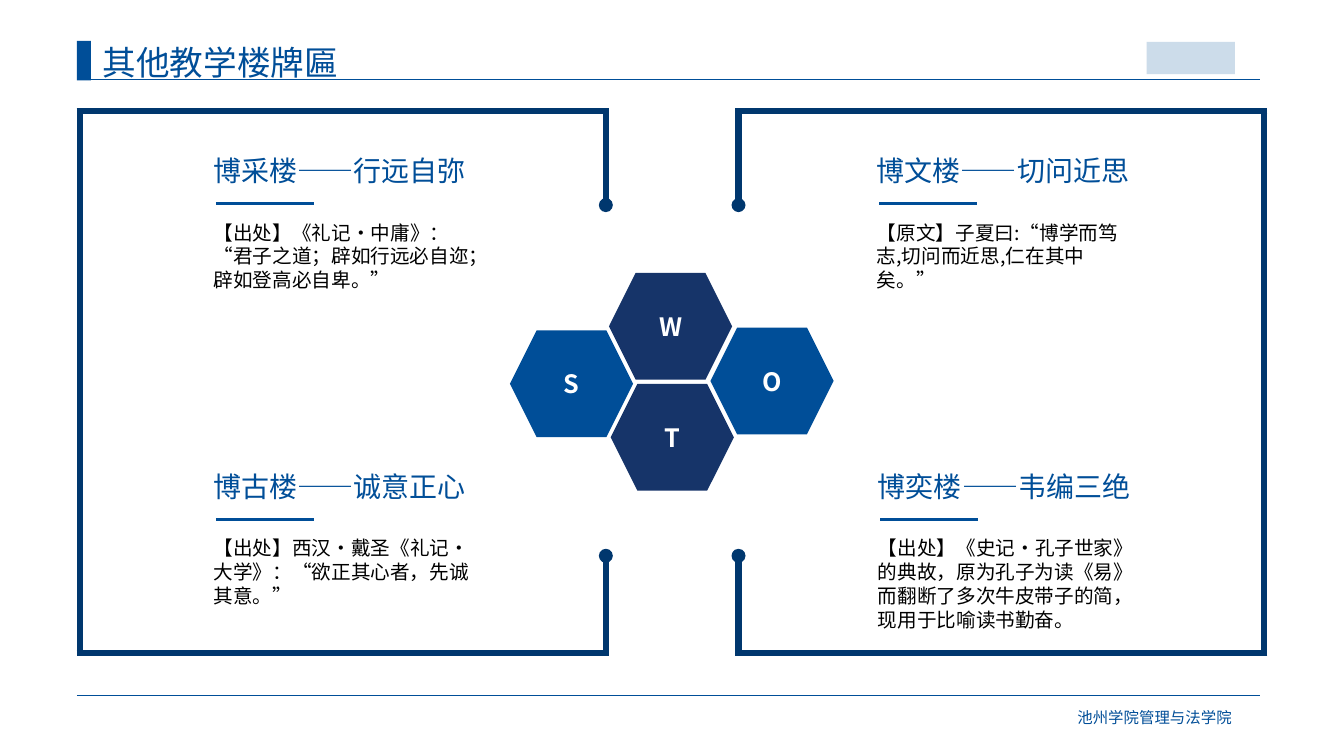
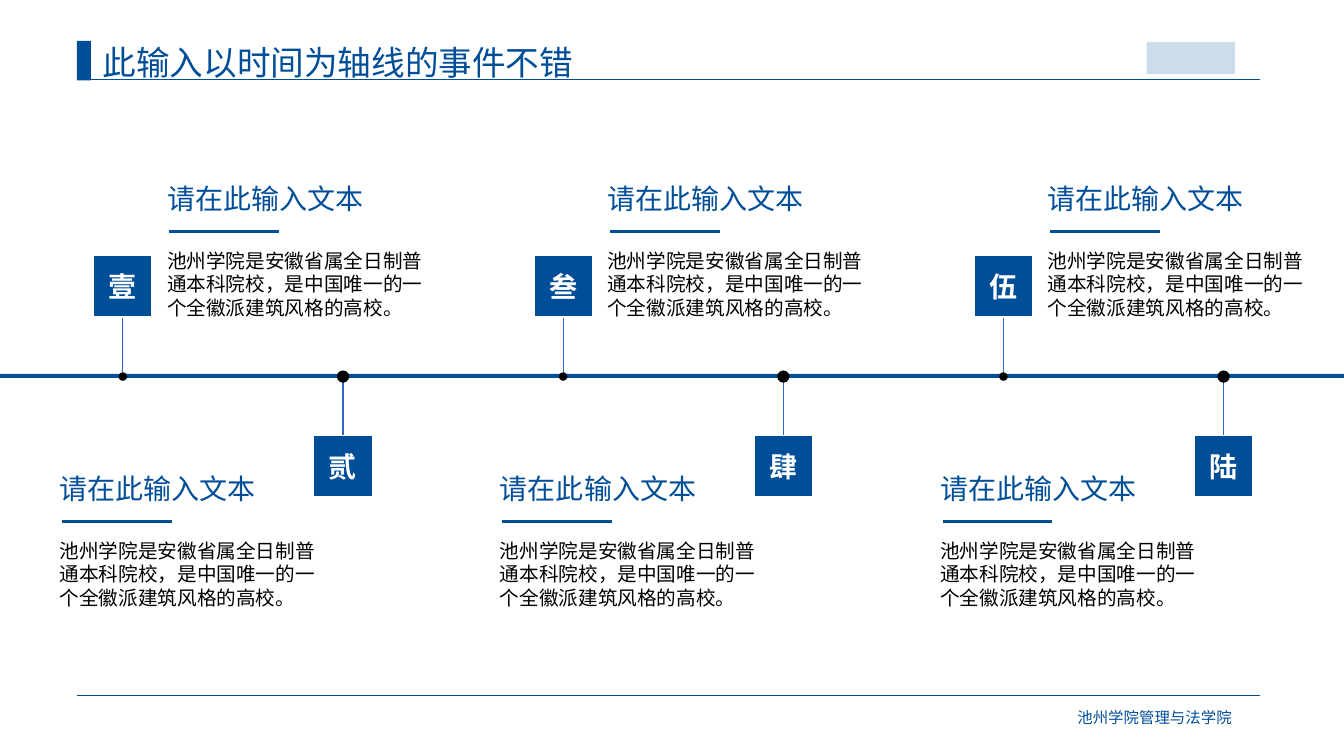
from dataclasses import dataclass

from lxml.etree import SubElement
from pptx import Presentation
from pptx.dml.color import RGBColor
from pptx.enum.lang import MSO_LANGUAGE_ID
from pptx.enum.shapes import MSO_CONNECTOR, MSO_SHAPE
from pptx.enum.text import MSO_ANCHOR, PP_ALIGN
from pptx.oxml.ns import qn
from pptx.shapes.autoshape import Shape
from pptx.shapes.connector import Connector
from pptx.slide import Slide
from pptx.util import Pt

BLUE = RGBColor(0x00, 0x4E, 0x98)
PALE_BLUE = RGBColor(0xCC, 0xDC, 0xEA)
NAVY = RGBColor(0x16, 0x34, 0x69)
FRAME_BLUE = RGBColor(0x00, 0x37, 0x6E)
STEM_BLUE = RGBColor(0x33, 0x66, 0xCC)
BLACK = RGBColor(0, 0, 0)
WHITE = RGBColor(0xFF, 0xFF, 0xFF)

FONT = "Noto Sans CJK SC"
LINE_PITCH = 1.21  # line height per point of type

SLIDE_WIDTH, SLIDE_HEIGHT = 960, 540


@dataclass(frozen=True)
class Passage:
    heading: str
    body: str
    left: float
    top: float
    body_width: float = 197.5
    rule_length: float = 70


@dataclass(frozen=True)
class Hexagon:
    letter: str
    left: float
    top: float
    color: RGBColor


@dataclass(frozen=True)
class Frame:
    outer_x: float
    inner_x: float


@dataclass(frozen=True)
class TimelineSide:
    """Places of what hangs above or below the timeline."""

    badge_top: float
    badge_site: int
    bar_edge: float
    dot_size: float
    text_offset: float
    text_top: float


PASSAGES = [
    Passage("博采楼——行远自弥",
            "【出处】《礼记·中庸》：“君子之道；辟如行远必自迩；辟如登高必自卑。”",
            145.5, 106),
    Passage("博文楼——切问近思",
            "【原文】子夏曰:“博学而笃志,切问而近思,仁在其中矣。”",
            619.25, 106),
    Passage("博古楼——诚意正心",
            "【出处】西汉·戴圣《礼记·大学》：“欲正其心者，先诚其意。”",
            145.5, 331.5, 200),
    Passage("博奕楼——韦编三绝",
            "【出处】《史记·孔子世家》的典故，原为孔子为读《易》而翻断了多次牛皮带子的简，现用于比喻读书勤奋。",
            620, 331.5, 200),
]

HEXAGONS = [
    Hexagon("T", 436.25, 274.25, NAVY),
    Hexagon("W", 435, 195, NAVY),
    Hexagon("S", 364.25, 236, BLUE),
    Hexagon("O", 507.5, 234, BLUE),
]

FRAMES = [Frame(57, 432.75), Frame(903, 527.5)]
FRAME_TOP, FRAME_BOTTOM = 79.25, 466.5
FRAME_DOT_YS = {FRAME_TOP: 146.5, FRAME_BOTTOM: 397}
FRAME_STROKE = 4.5
FRAME_DOT = 10

NUMERALS = "壹贰叁肆伍陆"
STEP_HEADING = "请在此输入文本"
STEP_BODY = "池州学院是安徽省属全日制普通本科院校，是中国唯一的一个全徽派建筑风格的高校。"
FIRST_STEM, STEM_GAP = 87.75, 157.25
BADGE_WIDTH, BADGE_HEIGHT = 43, 45
BAR_TOP, BAR_HEIGHT = 267, 3
ABOVE = TimelineSide(182, 2, BAR_TOP, 6, 24.5, 126)
BELOW = TimelineSide(310.5, 0, BAR_TOP + BAR_HEIGHT, 8.75, -209.5, 333)


def write_text(shape: Shape, text: str, *, size: float, color: RGBColor,
               bold: bool = False, align: PP_ALIGN = PP_ALIGN.LEFT,
               anchor: MSO_ANCHOR = MSO_ANCHOR.TOP) -> None:
    frame = shape.text_frame
    frame.word_wrap = True
    frame.vertical_anchor = anchor
    paragraph = frame.paragraphs[0]
    paragraph.alignment = align
    paragraph.line_spacing = Pt(LINE_PITCH * size)
    run = paragraph.add_run()
    run.text = text
    run.font.size = Pt(size)
    run.font.bold = bold
    run.font.color.rgb = color
    run.font.name = FONT
    run.font.language_id = MSO_LANGUAGE_ID.SIMPLIFIED_CHINESE
    SubElement(run.font._element, qn("a:ea"), typeface=FONT)


def add_text(slide: Slide, text: str, left: float, top: float, width: float,
             height: float, *, size: float, color: RGBColor = BLUE,
             align: PP_ALIGN = PP_ALIGN.LEFT) -> None:
    box = slide.shapes.add_textbox(Pt(left), Pt(top), Pt(width), Pt(height))
    write_text(box, text, size=size, color=color, align=align)


def add_solid(slide: Slide, preset: MSO_SHAPE, left: float, top: float,
              width: float, height: float, color: RGBColor) -> Shape:
    """Add a filled shape without outline or shadow."""
    shape = slide.shapes.add_shape(preset, Pt(left), Pt(top), Pt(width),
                                   Pt(height))
    shape.shadow.inherit = False
    shape.fill.solid()
    shape.fill.fore_color.rgb = color
    shape.line.fill.background()
    return shape


def add_dot(slide: Slide, center_x: float, center_y: float, size: float,
            color: RGBColor) -> None:
    add_solid(slide, MSO_SHAPE.OVAL, center_x - size / 2, center_y - size / 2,
              size, size, color)


def add_line(slide: Slide, x1: float, y1: float, x2: float, y2: float, *,
             width: float, color: RGBColor = BLUE) -> Connector:
    line = slide.shapes.add_connector(MSO_CONNECTOR.STRAIGHT, Pt(x1), Pt(y1),
                                      Pt(x2), Pt(y2))
    line.line.color.rgb = color
    line.line.width = Pt(width)
    SubElement(line._element.spPr, qn("a:effectLst"))
    return line


def add_titled_slide(deck: Presentation, title: str) -> Slide:
    """Add a blank slide with the shared header and footer."""
    slide = deck.slides.add_slide(deck.slide_layouts[6])
    add_solid(slide, MSO_SHAPE.RECTANGLE, 819, 30, 63, 23, PALE_BLUE)
    add_solid(slide, MSO_SHAPE.RECTANGLE, 55, 29.25, 10, 28.25, BLUE)
    add_line(slide, 58, 57, 900, 57, width=0.5)
    add_text(slide, "池州学院管理与法学院", 762.5, 502, 145, 21, size=11,
             align=PP_ALIGN.JUSTIFY)
    add_line(slide, 55, 496.75, 900, 496.75, width=0.5)
    add_text(slide, title, 66.25, 26, 360, 36, size=24)
    return slide


def add_passage(slide: Slide, passage: Passage) -> None:
    left, top = passage.left, passage.top
    add_text(slide, passage.heading, left, top, 197.5, 31.5, size=20)
    add_text(slide, passage.body, left, top + 48, passage.body_width, 58.5,
             size=14, color=BLACK)
    rule_left, rule_y = left + 8.75, top + 39.5
    add_line(slide, rule_left, rule_y, rule_left + passage.rule_length, rule_y,
             width=2.25)


def add_frame(slide: Slide, frame: Frame) -> None:
    """Draw a bracket, open towards the middle, with a dot at each end."""
    overhang = FRAME_STROKE / 2
    if frame.outer_x > frame.inner_x:
        overhang = -overhang
    stroke = {"width": FRAME_STROKE, "color": FRAME_BLUE}
    add_line(slide, frame.outer_x, FRAME_TOP, frame.outer_x, FRAME_BOTTOM,
             **stroke)
    for edge_y, dot_y in FRAME_DOT_YS.items():
        add_line(slide, frame.outer_x - overhang, edge_y,
                 frame.inner_x + overhang, edge_y, **stroke)
        add_line(slide, frame.inner_x, edge_y, frame.inner_x, dot_y, **stroke)
        add_dot(slide, frame.inner_x, dot_y, FRAME_DOT, FRAME_BLUE)


def add_hexagon(slide: Slide, hexagon: Hexagon) -> None:
    shape = add_solid(slide, MSO_SHAPE.HEXAGON, hexagon.left, hexagon.top,
                      88, 76.25, hexagon.color)
    write_text(shape, hexagon.letter, size=18, color=WHITE, bold=True,
               align=PP_ALIGN.CENTER, anchor=MSO_ANCHOR.MIDDLE)


def add_step(slide: Slide, numeral: str, stem_x: float,
             side: TimelineSide) -> None:
    badge = add_solid(slide, MSO_SHAPE.RECTANGLE, stem_x - BADGE_WIDTH / 2,
                      side.badge_top, BADGE_WIDTH, BADGE_HEIGHT, BLUE)
    badge.line.color.rgb = WHITE
    badge.line.width = Pt(2.25)
    write_text(badge, numeral, size=20, color=WHITE, bold=True,
               align=PP_ALIGN.CENTER, anchor=MSO_ANCHOR.MIDDLE)
    stem = add_line(slide, stem_x, side.bar_edge, stem_x, side.badge_top,
                    width=0.75, color=STEM_BLUE)
    stem.end_connect(badge, side.badge_site)
    add_dot(slide, stem_x, BAR_TOP + BAR_HEIGHT / 2 + 0.5, side.dot_size, BLACK)
    add_passage(slide, Passage(STEP_HEADING, STEP_BODY,
                               stem_x + side.text_offset, side.text_top,
                               rule_length=78.5))


def build_plaques(deck: Presentation) -> None:
    slide = add_titled_slide(deck, "其他教学楼牌匾")
    for passage in PASSAGES:
        add_passage(slide, passage)
    for hexagon in HEXAGONS:
        add_hexagon(slide, hexagon)
    for frame in FRAMES:
        add_frame(slide, frame)


def build_timeline(deck: Presentation) -> None:
    slide = add_titled_slide(deck, "此输入以时间为轴线的事件不错")
    add_solid(slide, MSO_SHAPE.RECTANGLE, 0, BAR_TOP, SLIDE_WIDTH, BAR_HEIGHT,
              BLUE)
    for index, numeral in enumerate(NUMERALS):
        side = BELOW if index % 2 else ABOVE
        add_step(slide, numeral, FIRST_STEM + index * STEM_GAP, side)


def main() -> None:
    deck = Presentation()
    deck.slide_width, deck.slide_height = Pt(SLIDE_WIDTH), Pt(SLIDE_HEIGHT)
    build_plaques(deck)
    build_timeline(deck)
    deck.save("out.pptx")


if __name__ == "__main__":
    main()
